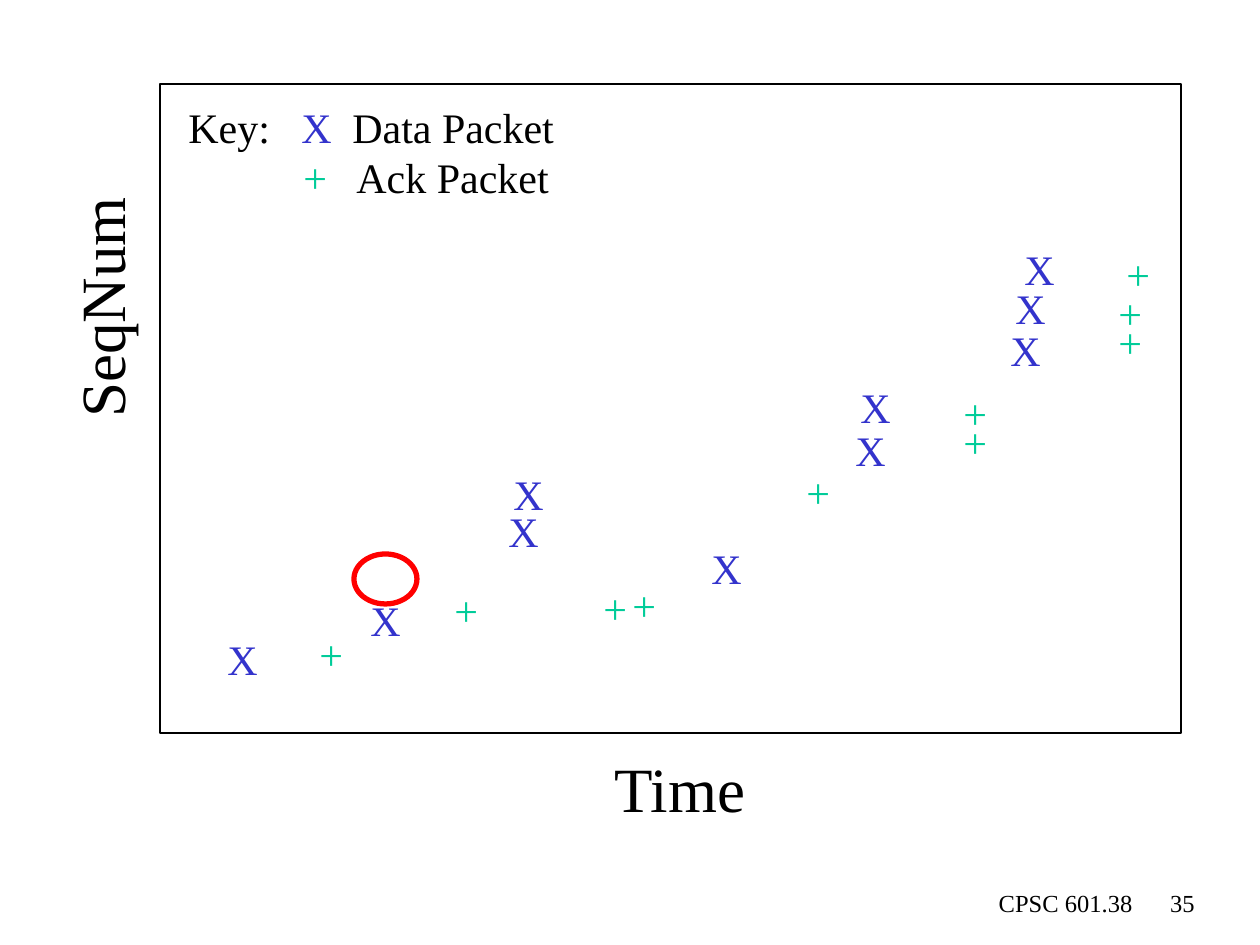
"""Build a slide that plots data and ack packets by sequence number over time."""
from dataclasses import dataclass

from lxml import etree
from pptx import Presentation
from pptx import util as u
from pptx.dml import color
from pptx.enum import shapes, text
from pptx.oxml import ns

SCALE = 914400 / 126


def px(length):
    return u.Emu(round(length * SCALE))


def apply(target, values):
    for name, value in values.items():
        setattr(target, name, value)


@dataclass(frozen=True)
class Theme:
    font: str = "Times New Roman"
    ink: str = "000000"
    data: str = "3333CC"
    ack: str = "00CC99"
    loss: str = "FF0000"
    axis_size: int = 36
    mark_size: int = 24
    footer_size: int = 14
    thin: float = 0.75
    thick: float = 3


class Painter:
    def __init__(self, slide, theme):
        self.slide = slide
        self.theme = theme

    def outline(self, kind, bounds, ink, width):
        shape = self.slide.shapes.add_shape(kind, *map(px, bounds))
        shape.shadow.inherit = False
        shape.fill.background()
        shape.line.color.rgb = color.RGBColor.from_string(ink)
        shape.line.width = u.Pt(width)

    def label(self, bounds, lines, size, align=text.PP_ALIGN.LEFT, wrap=False,
              rotation=0, tabs=()):
        box = self.slide.shapes.add_textbox(*map(px, bounds))
        box.rotation = rotation
        frame = box.text_frame
        fit = text.MSO_AUTO_SIZE.NONE if wrap else text.MSO_AUTO_SIZE.SHAPE_TO_FIT_TEXT
        apply(frame, {"word_wrap": wrap, "auto_size": fit})
        for index, spans in enumerate(lines):
            para = frame.add_paragraph() if index else frame.paragraphs[0]
            para.alignment = align
            if tabs:
                self.tab_stops(para, tabs[index])
            for words, ink in spans:
                span = para.add_run()
                span.text = words
                apply(span.font, {"name": self.theme.font, "size": u.Pt(size)})
                span.font.color.rgb = color.RGBColor.from_string(ink)

    def tab_stops(self, para, stops):
        properties = para._p.get_or_add_pPr()
        tab_list = etree.SubElement(properties, ns.qn("a:tabLst"))
        for stop in stops:
            etree.SubElement(tab_list, ns.qn("a:tab"), pos=str(px(stop)), algn="l")

    def marks(self, symbol, ink, width, places):
        for left, top in places:
            self.label((left, top, width, 63), [[(symbol, ink)]], self.theme.mark_size)


DATA_PLACES = [
    (215, 627), (358, 588), (501, 462), (496, 499), (699, 536),
    (848, 375), (843, 418), (998, 318), (1003, 276), (1012, 237),
]
ACK_PLACES = [
    (307, 622), (442, 578), (591, 576), (620, 573), (794, 460),
    (951, 410), (951, 381), (1106, 310), (1106, 281), (1114, 242),
]


def main():
    theme = Theme()
    deck = Presentation()
    apply(deck, {"slide_width": u.Inches(10), "slide_height": u.Inches(7.5)})
    painter = Painter(deck.slides.add_slide(deck.slide_layouts[6]), theme)

    painter.outline(shapes.MSO_SHAPE.RECTANGLE, (160, 84, 1021, 649), theme.ink, theme.thin)
    painter.label((602, 743, 158, 88), [[("Time", theme.ink)]], theme.axis_size)
    painter.label((-23, 263, 246, 88), [[("SeqNum", theme.ink)]], theme.axis_size,
                  rotation=270)

    key = [
        [("Key:\t", theme.ink), ("X", theme.data), ("\tData Packet", theme.ink)],
        [("\t", theme.ink), ("+", theme.ack), ("\tAck Packet", theme.ink)],
    ]
    painter.label((176, 95, 391, 113), key, theme.mark_size, wrap=True,
                  tabs=[(113, 164), (115, 168)])

    painter.marks("X", theme.data, 55, DATA_PLACES)
    painter.marks("+", theme.ack, 49, ACK_PLACES)
    painter.outline(shapes.MSO_SHAPE.OVAL, (354, 554, 63, 50), theme.loss, theme.thick)

    for left, width, words in [(746, 399, "CPSC 601.38"), (1144, 63, "35")]:
        painter.label((left, 882, width, 63), [[(words, theme.ink)]], theme.footer_size,
                      align=text.PP_ALIGN.RIGHT, wrap=True)
    deck.save("out.pptx")


if __name__ == "__main__":
    main()
